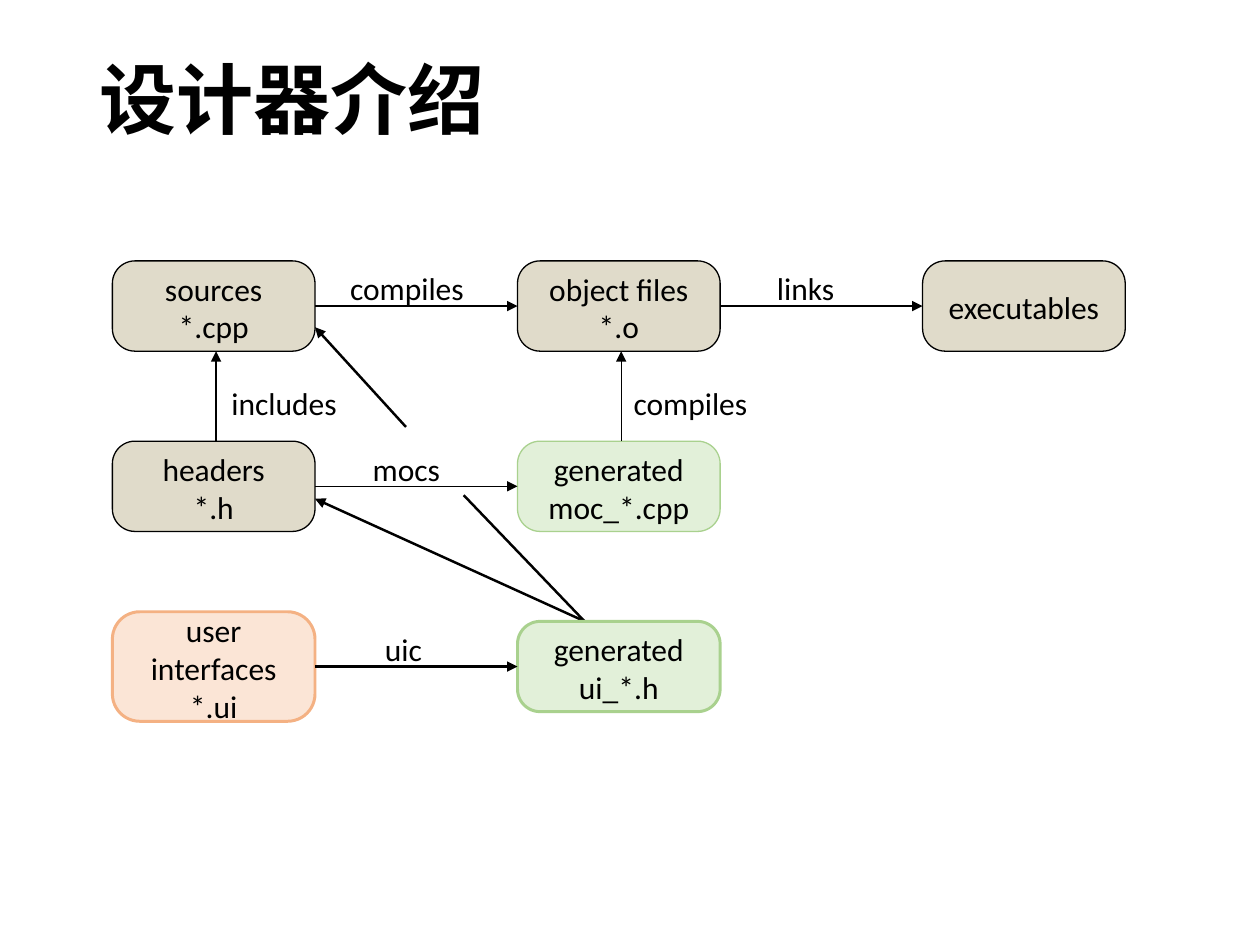
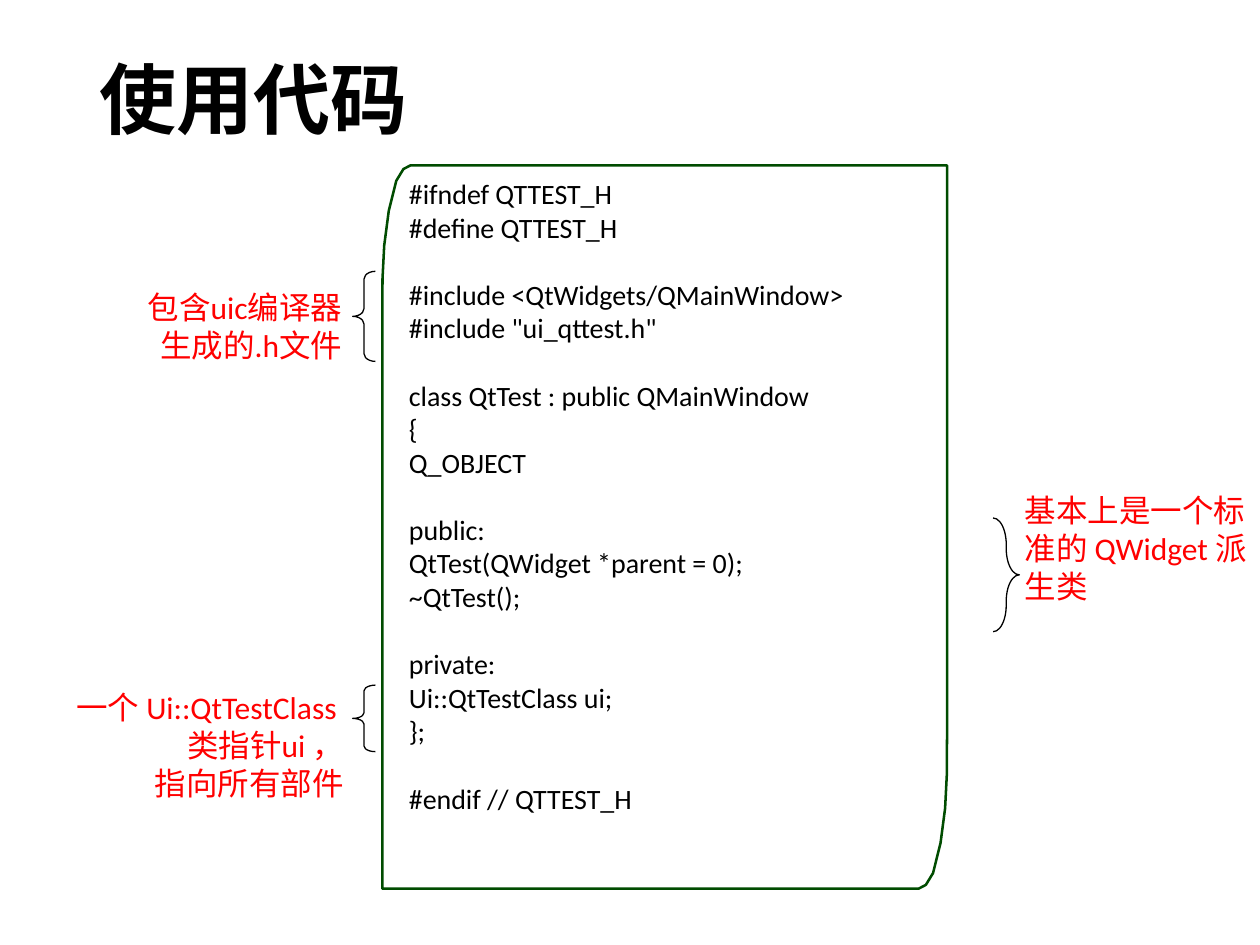
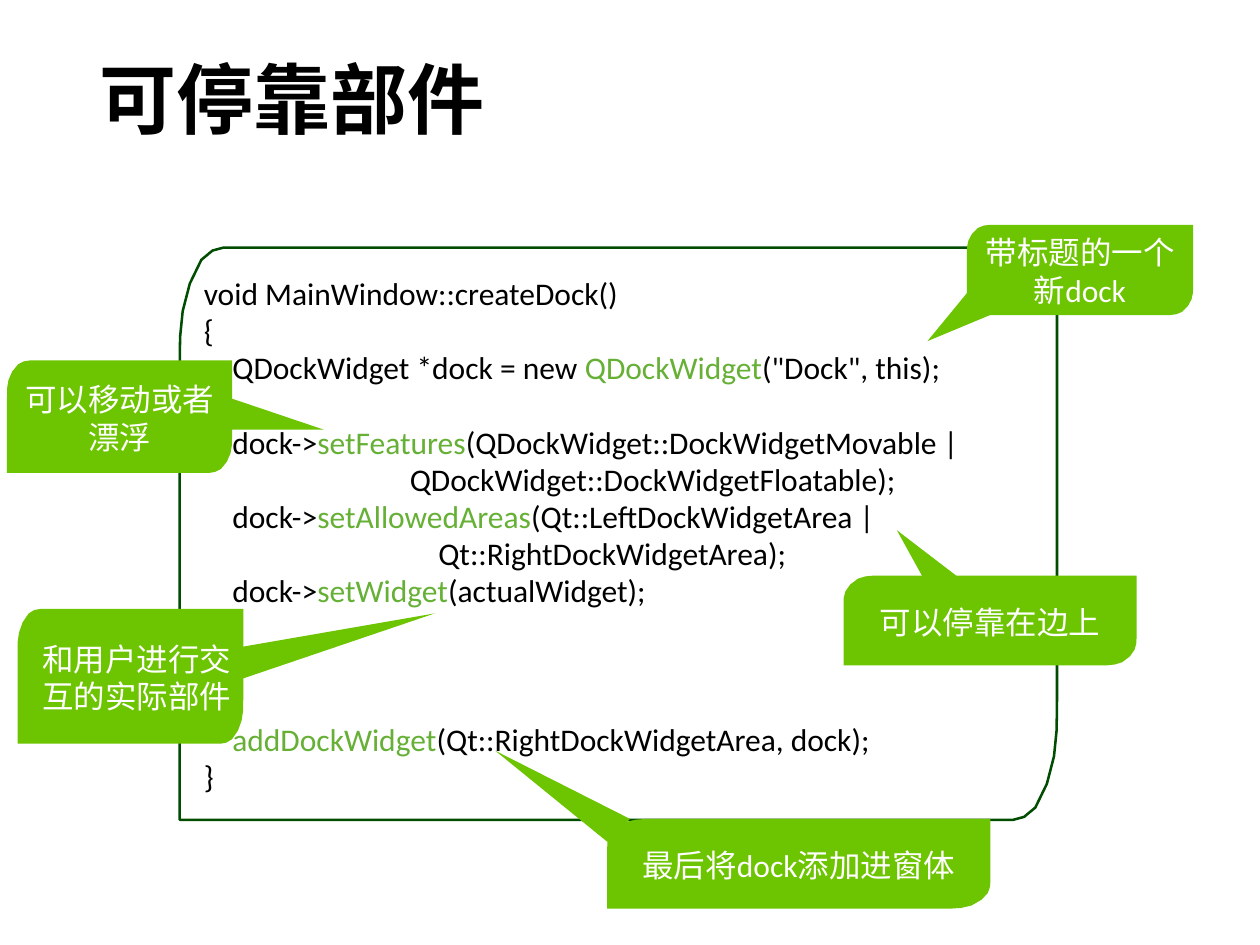
"""Build three slides on the interface designer, its code and dockable widgets."""
from lxml import etree
from pptx import Presentation
from pptx.dml.color import RGBColor
from pptx.enum.shapes import MSO_CONNECTOR, MSO_SHAPE
from pptx.enum.text import MSO_ANCHOR, PP_ALIGN
from pptx.oxml.ns import qn
from pptx.util import Pt

STRAIGHT = MSO_CONNECTOR.STRAIGHT
ROUNDED, BRACE = MSO_SHAPE.ROUNDED_RECTANGLE, MSO_SHAPE.RIGHT_BRACE
TOP, MIDDLE = MSO_ANCHOR.TOP, MSO_ANCHOR.MIDDLE
LEFT, CENTER, RIGHT = PP_ALIGN.LEFT, PP_ALIGN.CENTER, PP_ALIGN.RIGHT
BLACK, WHITE = RGBColor(0, 0, 0), RGBColor(255, 255, 255)
RED = RGBColor(255, 0, 0)
SAND = RGBColor(0xE0, 0xDB, 0xCA)
MINT, LEAF_EDGE = RGBColor(0xE2, 0xF0, 0xD9), RGBColor(0xA9, 0xD1, 0x8E)
PEACH, ORANGE = RGBColor(0xFB, 0xE5, 0xD6), RGBColor(0xF4, 0xB1, 0x83)
FRAME_GREEN = RGBColor(0, 0x4C, 0)
CALL_GREEN = RGBColor(0x6D, 0xC4, 0)
CODE_GREEN = RGBColor(0x66, 0xB0, 0x36)
FONT = "Calibri"
THIN, THICK = 0.75, 1.42

GRID_X, GRID_Y, STEP_X, STEP_Y = 64.2, 149.1, 231.5, 103
BOX_W, BOX_H, ARROW_SHIFT = 115.8, 51.6, 1.4
# name: (column, row, height, lines, fill, edge, edge width)
BOXES = {
    "sources": (0, 0, BOX_H, ["sources", "*.cpp"], SAND, BLACK, 0.75),
    "executables": (2, 0, BOX_H, ["executables"], SAND, BLACK, 0.75),
    "objects": (1, 0, BOX_H, ["object files", "*.o"], SAND, BLACK, 0.75),
    "headers": (0, 1, BOX_H, ["headers", "*.h"], SAND, BLACK, 0.75),
    "moc": (1, 1, BOX_H, ["generated", "moc_*.cpp"], MINT, LEAF_EDGE, 0.75),
    "ui_h": (1, 2, BOX_H, ["generated", "ui_*.h"], MINT, LEAF_EDGE, 1.7),
    "ui": (0, 2, 62.6, ["user interfaces", "*.ui"], PEACH, ORANGE, 1.7),
}
LINKS = [
    ("headers", "sources", THIN), ("objects", "executables", THIN),
    ("headers", "moc", THIN), ("sources", "objects", THIN),
    ("moc", "objects", THIN), ("ui", "ui_h", THICK),
]
INCLUDE_LINES = [
    ((334, 355), (180, 285), True),
    ((232, 244), (180, 187), True),
    ((265, 283), (334, 355), False),
]
LABELS = [
    ("includes", 125.3, 214.5, 75), ("compiles", 193, 149, 90), ("links", 437, 149, 77),
    ("compiles", 355, 214.5, 95), ("mocs", 206, 252, 77), ("uic", 213, 355, 39),
]

# (blank lines above, indent, text); text between backticks is highlighted
HEADER_CODE = [
    (0, 0, "#ifndef QTTEST_H"),
    (0, 0, "#define QTTEST_H"),
    (1, 0, "#include <QtWidgets/QMainWindow>"),
    (0, 0, '#include "ui_qttest.h"'),
    (1, 0, "class QtTest : public QMainWindow"),
    (0, 0, "{"),
    (0, 0, "Q_OBJECT"),
    (1, 0, "public:"),
    (0, 0, "QtTest(QWidget *parent = 0);"),
    (0, 0, "~QtTest();"),
    (1, 0, "private:"),
    (0, 0, "Ui::QtTestClass ui;"),
    (0, 0, "};"),
    (1, 0, "#endif // QTTEST_H"),
]
DOCK_CODE = [
    (0, 0, "void MainWindow::createDock()"),
    (0, 0, "{"),
    (0, 16.3, 'QDockWidget *dock = new `QDockWidget`("Dock", this);'),
    (1, 16.3, "dock->`setFeatures`(QDockWidget::DockWidgetMovable |"),
    (0, 117.7, "QDockWidget::DockWidgetFloatable);"),
    (0, 16.3, "dock->`setAllowedAreas`(Qt::LeftDockWidgetArea |"),
    (0, 134, "Qt::RightDockWidgetArea);"),
    (0, 16.3, "dock->`setWidget`(actualWidget);"),
    (3, 16.3, "`addDockWidget`(Qt::RightDockWidgetArea, dock);"),
    (0, 0, "}"),
]
BRACES = [
    ((201.5, 155, 13, 51.5), 0.34, 180),
    ((567.5, 296, 15, 65), 1.01, 0),
    ((201.5, 391.5, 13, 38), 0.25, 180),
]
NOTES = [
    ((26, 160, 176, 43), RIGHT, ["包含uic编译器", "生成的.h文件"]),
    ((36.7, 388.8, 166.3, 43), RIGHT, ["一个 Ui::QtTestClass ", "类指针ui ，", "指向所有部件"]),
    ((579, 276.3, 141, 61), LEFT, ["基本上是一个标准的 QWidget 派生类"]),
]
# (text, leaf box, text shift, pointer corners)
CALLOUTS = [
    ("带标题的一个新dock", (552.5, 128.5, 129.3, 51.5), 0,
     [(553, 167), (530, 195), (566, 180)]),
    ("可以停靠在边上", (482, 329, 167.5, 51.2), 0,
     [(546.5, 329), (512.5, 303), (533.5, 341)]),
    ("最后将dock添加进窗体", (347, 468, 219, 51.2), 0,
     [(360, 468), (283, 429), (347, 481)]),
    ("和用户进行交互的实际部件", (10, 348, 129, 77), 3.5,
     [(116, 373.5), (248.5, 350.5), (138, 388)]),
    ("可以移动或者漂浮", (4, 206, 128.6, 64.2), 0,
     [(106.5, 219), (185, 245.5), (119.5, 245.5)]),
]
# two curves of a leaf's rounded corner, in radii from the corner
CORNER = [
    [(0, 1), (0, 0.71), (0, 0.55), (0.23, 0.3)],
    [(0.23, 0.3), (0.5, 0.02), (0.75, 0.02), (1, 0)],
]


def pts(values):
    return [Pt(v) for v in values]


def add_run(p, text, size, color, bold=False):
    r = p.add_run()
    r.text = text
    r.font.name, r.font.size, r.font.bold = FONT, Pt(size), bold
    r.font.color.rgb = color


def next_paragraph(tf, i):
    return tf.add_paragraph() if i else tf.paragraphs[0]


def setup_frame(sp, anchor=TOP, insets=(6.5, 4.5, 6.5, 3)):
    tf = sp.text_frame
    tf.word_wrap, tf.vertical_anchor = True, anchor
    tf.margin_left, tf.margin_top, tf.margin_right, tf.margin_bottom = pts(insets)
    return tf


def write_lines(tf, lines, color=BLACK, align=LEFT):
    for i, line in enumerate(lines):
        p = next_paragraph(tf, i)
        p.alignment = align
        add_run(p, line, 18, color)


def write_code(s, box, code, size, gap, spacing):
    tf = setup_frame(s.shapes.add_textbox(*pts(box)), insets=(6.5, 3.5, 6.5, 3))
    for i, (blanks, indent, text) in enumerate(code):
        p = next_paragraph(tf, i)
        p.line_spacing, p.space_before = spacing, Pt(blanks * gap)
        p._p.get_or_add_pPr().set("marL", str(Pt(indent)))
        for j, part in enumerate(text.split("`")):
            if part:
                add_run(p, part, size, CODE_GREEN if j % 2 else BLACK)


def paint(sp, fill=None, edge=None, width=THIN):
    sp.shadow.inherit = False
    if fill is None:
        sp.fill.background()
    else:
        sp.fill.solid()
        sp.fill.fore_color.rgb = fill
    if edge is None:
        sp.line.fill.background()
    else:
        sp.line.color.rgb, sp.line.width = edge, Pt(width)


def add_line(s, start, end, width, arrow=True):
    c = s.shapes.add_connector(STRAIGHT, *pts(start + end))
    c.line.color.rgb, c.line.width = BLACK, Pt(width)
    if arrow:
        etree.SubElement(c.line._get_or_add_ln(), qn("a:tailEnd"), type="triangle")
    etree.SubElement(c._element.spPr, qn("a:effectLst"))


def add_outline(s, points):
    start, *rest = [pts(point) for point in points]
    fb = s.shapes.build_freeform(*start)
    fb.add_line_segments(rest, close=True)
    return fb.convert_to_shape()


def bezier(a, b, c, d, steps=3):
    for k in range(steps):
        t = k / steps
        u = 1 - t
        yield tuple(u**3 * a[i] + 3 * u * u * t * b[i] + 3 * u * t * t * c[i] + t**3 * d[i]
                    for i in (0, 1))


def add_leaf(s, box, rx, ry):
    x, y, w, h = box
    corner = [(rx * a, ry * b) for curve in CORNER for a, b in bezier(*curve)]
    half = corner + [(rx, 0), (1, 0)]
    unit = half + [(1 - a, 1 - b) for a, b in half]
    return add_outline(s, [(x + a * w, y + b * h) for a, b in unit])


def add_code_frame(s, box):
    paint(add_leaf(s, box, 0.05, 0.21), edge=FRAME_GREEN, width=1.45)


def new_slide(prs, title):
    s = prs.slides.add_slide(prs.slide_layouts[5])
    sp = s.shapes.title
    sp.left, sp.top, sp.width, sp.height = pts((49.5, 29, 621, 60.5))
    tf = setup_frame(sp, MIDDLE, (7.2, 3.6, 7.2, 3.6))
    p = tf.paragraphs[0]
    p.alignment, p.line_spacing = LEFT, 0.9
    add_run(p, title, 44, BLACK, bold=True)
    return s


def cell_corner(name):
    col, row = BOXES[name][:2]
    return GRID_X + col * STEP_X, GRID_Y + row * STEP_Y


def build_designer(prs):
    s = new_slide(prs, "设计器介绍")
    for start, end, arrow in INCLUDE_LINES:
        add_line(s, start, end, THICK, arrow)
    for name, (_, _, h, lines, fill, edge, width) in BOXES.items():
        x, y = cell_corner(name)
        sp = s.shapes.add_shape(ROUNDED, *pts((x, y - (h - BOX_H) / 2, BOX_W, h)))
        sp.adjustments[0] = 0.25
        paint(sp, fill, edge, width)
        write_lines(setup_frame(sp, MIDDLE), lines, align=CENTER)
    for source, target, width in LINKS:
        (x1, y1), (x2, y2) = cell_corner(source), cell_corner(target)
        if x1 == x2:
            x = x1 + BOX_W / 2 + ARROW_SHIFT
            add_line(s, (x, y1), (x, y2 + BOX_H), width)
        else:
            y = y1 + BOX_H / 2
            add_line(s, (x1 + BOX_W, y), (x2, y), width)
    for text, x, y, w in LABELS:
        sp = s.shapes.add_textbox(*pts((x, y, w, 24.5)))
        write_lines(setup_frame(sp, insets=(7, 5, 7, 3.5)), [text])


def build_code(prs):
    s = new_slide(prs, "使用代码")
    write_code(s, (227.2, 97.4, 268.5, 359), HEADER_CODE, 16, 19.2, 1.0)
    for box, bend, turn in BRACES:
        sp = s.shapes.add_shape(BRACE, *pts(box))
        sp.adjustments[0], sp.adjustments[1] = bend, 0.5
        sp.rotation = turn
        paint(sp, edge=BLACK)
    for box, align, lines in NOTES:
        write_lines(setup_frame(s.shapes.add_textbox(*pts(box))), lines, RED, align)
    add_code_frame(s, (218.5, 94.5, 322.7, 413.3))


def build_dock(prs):
    s = new_slide(prs, "可停靠部件")
    write_code(s, (110, 154.2, 493, 301.5), DOCK_CODE, 18, 21.4, 0.98)
    add_code_frame(s, (102.7, 141.5, 501.3, 327))
    for text, box, shift, pointer in CALLOUTS:
        paint(add_outline(s, pointer), CALL_GREEN)
        paint(add_leaf(s, box, 0.1, 0.33), CALL_GREEN)
        x, y, w, h = box
        sp = s.shapes.add_textbox(*pts((x + shift, y, w, h)))
        write_lines(setup_frame(sp, MIDDLE, (7.9, 5.8, 7.9, 4.5)), [text], WHITE, CENTER)


def main():
    prs = Presentation()
    prs.slide_width, prs.slide_height = Pt(720), Pt(540)
    build_designer(prs)
    build_code(prs)
    build_dock(prs)
    prs.save("out.pptx")


if __name__ == "__main__":
    main()
